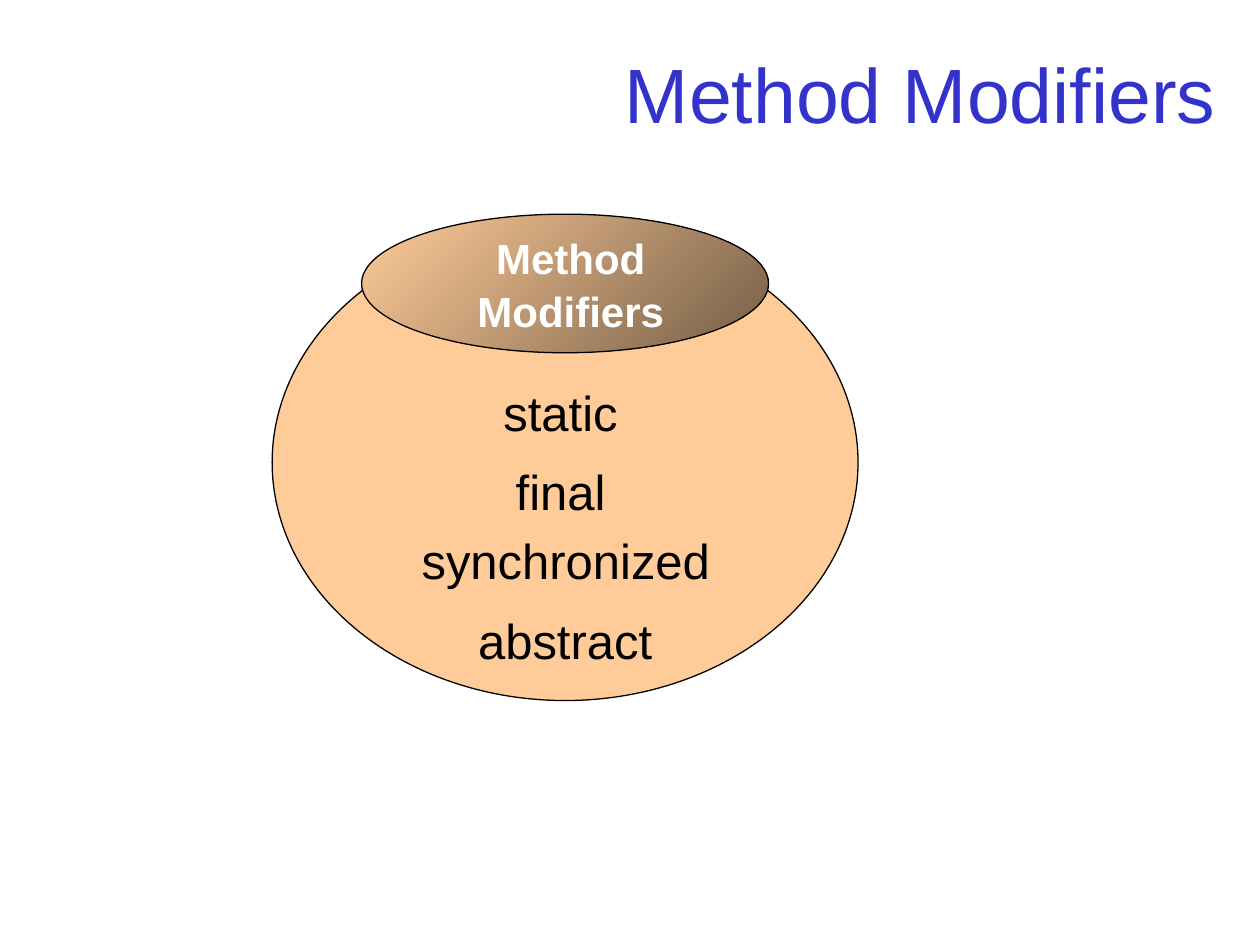
"""Builds the Method Modifiers slide."""
from typing import NamedTuple

from pptx import Presentation
from pptx.dml.color import RGBColor
from pptx.enum.shapes import MSO_SHAPE
from pptx.enum.text import MSO_ANCHOR, PP_ALIGN
from pptx.util import Pt


class Box(NamedTuple):
    left: float
    top: float
    width: float
    height: float


class Modifier(NamedTuple):
    name: str
    box: Box


TITLE = Box(54, 20.16, 648, 62.64)
BOWL = Box(155.5, 128.16, 334.8, 272.16)
LID = Box(206.64, 122.4, 232.56, 79.2)
LID_LABEL = Box(241.2, 128.16, 169.92, 64.8)
MODIFIERS = [
    Modifier("static", Box(275, 213.12, 90.72, 41)),
    Modifier("final", Box(275, 258.48, 90.72, 41)),
    Modifier("synchronized", Box(229.68, 298.08, 187.2, 41)),
    Modifier("abstract", Box(257.76, 343.44, 130.32, 41)),
]
PEACH, BROWN, BLACK, WHITE, BLUE = "FFCC99", "765E47", "000000", "FFFFFF", "3333CC"


def color(hex_value: str) -> RGBColor:
    return RGBColor.from_string(hex_value)


def lengths(box: Box) -> list[Pt]:
    return [Pt(value) for value in box]


def add_ellipse(slide, box: Box, fill: str, end_fill: str | None = None) -> None:
    shape = slide.shapes.add_shape(MSO_SHAPE.OVAL, *lengths(box))
    shape.shadow.inherit = False
    shape.line.color.rgb = color(BLACK)
    shape.line.width = Pt(0.75)
    if end_fill is None:
        shape.fill.solid()
        shape.fill.fore_color.rgb = color(fill)
        return
    shape.fill.gradient()
    shape.fill.gradient_angle = 315
    for stop, hex_value in zip(shape.fill.gradient_stops, (fill, end_fill)):
        stop.color.rgb = color(hex_value)


def add_text(slide, text: str, box: Box, *, size: float = 28,
             hex_value: str = BLACK, bold: bool = False,
             align: PP_ALIGN = PP_ALIGN.CENTER,
             anchor: MSO_ANCHOR = MSO_ANCHOR.TOP) -> None:
    frame = slide.shapes.add_textbox(*lengths(box)).text_frame
    frame.word_wrap = True
    frame.vertical_anchor = anchor
    paragraph = frame.paragraphs[0]
    paragraph.text = text
    paragraph.alignment = align
    paragraph.line_spacing = 1.05
    font = paragraph.runs[0].font
    font.name = "Arial"
    font.size = Pt(size)
    font.bold = bold
    font.color.rgb = color(hex_value)


def main() -> None:
    presentation = Presentation()
    presentation.slide_width, presentation.slide_height = Pt(720), Pt(540)
    slide = presentation.slides.add_slide(presentation.slide_layouts[6])
    add_text(slide, "Method Modifiers", TITLE, size=44, hex_value=BLUE,
             align=PP_ALIGN.RIGHT, anchor=MSO_ANCHOR.MIDDLE)
    add_ellipse(slide, BOWL, PEACH)
    add_ellipse(slide, LID, PEACH, BROWN)
    add_text(slide, "Method Modifiers", LID_LABEL, size=24, hex_value=WHITE, bold=True)
    for modifier in MODIFIERS:
        add_text(slide, modifier.name, modifier.box)
    presentation.save("out.pptx")


if __name__ == "__main__":
    main()
